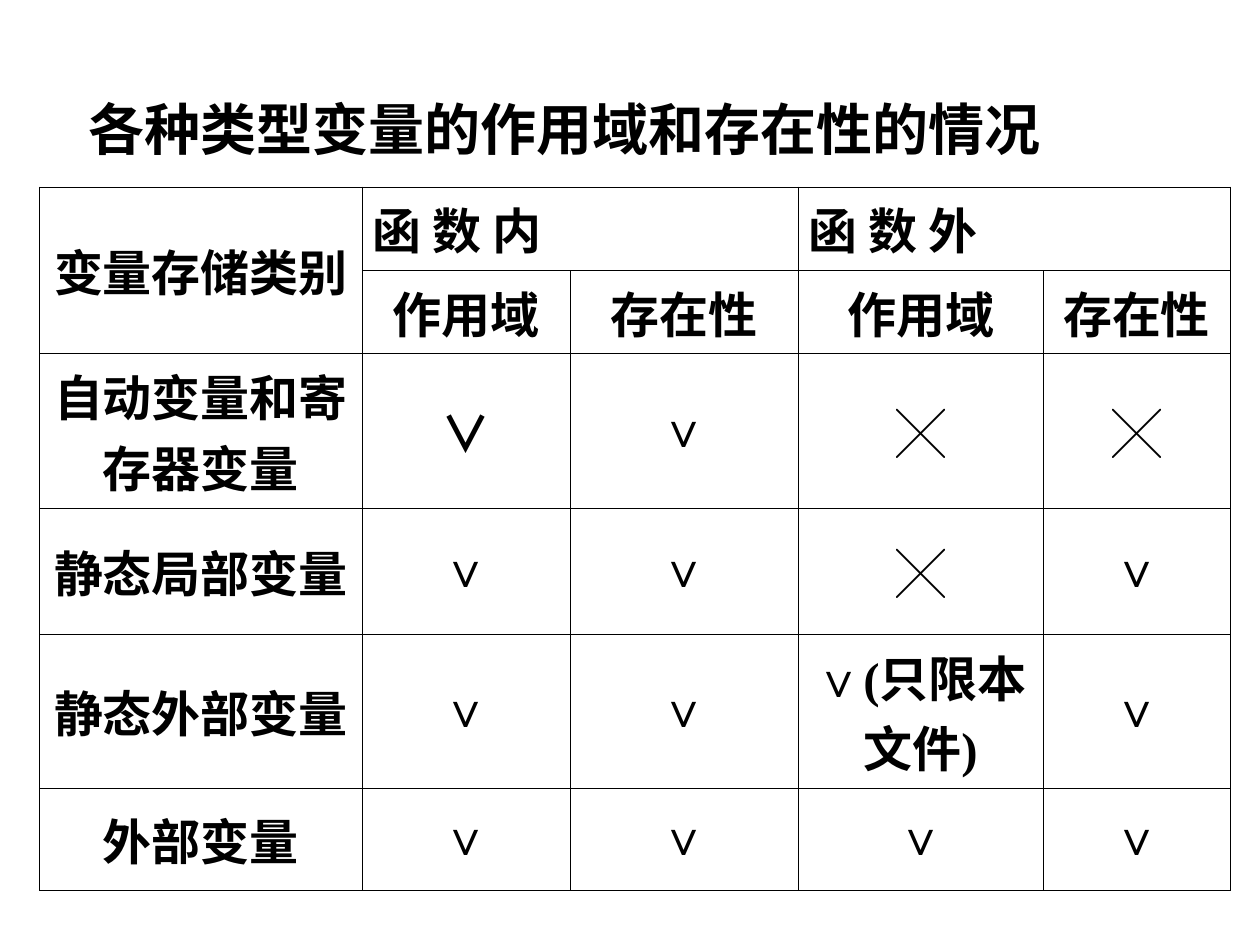
from lxml import etree
from pptx import Presentation
from pptx.dml.color import RGBColor
from pptx.enum.text import MSO_ANCHOR, MSO_AUTO_SIZE, PP_ALIGN
from pptx.oxml.ns import qn
from pptx.util import Pt

LEFT, CENTER, JUSTIFY = PP_ALIGN.LEFT, PP_ALIGN.CENTER, PP_ALIGN.JUSTIFY
TOP, MIDDLE = MSO_ANCHOR.TOP, MSO_ANCHOR.MIDDLE
COLORS = {"ink": "000000", "paper": "FFFFFF"}
HAN, SERIF, SANS = "Noto Sans CJK SC", "Times New Roman", "Arial"
YES, NO = "∨", "╳"

COLUMN_WIDTHS = [184.5, 118.8, 130.3, 140, 106.8]
ROW_HEIGHTS = [36, 36, 79.2, 72, 72, 58.3]
ROWS = [
    ["变量存储类别", "函 数 内", "", "函 数 外", ""],
    ["", "作用域", "存在性", "作用域", "存在性"],
    ["自动变量和寄存器变量", YES, YES, NO, NO],
    ["静态局部变量", YES, YES, NO, YES],
    ["静态外部变量", YES, YES, "∨(只限本文件)", YES],
    ["外部变量", YES, YES, YES, YES],
]
MERGES = [((0, 0), (1, 0)), ((0, 1), (0, 2)), ((0, 3), (0, 4))]
TOP_ANCHORED = {(0, 1), (0, 3), (1, 1), (1, 2), (1, 3), (1, 4), (2, 0)}
LARGE_CHECK = (2, 1)


def add_span(para, text, size, latin):
    span = para.add_run()
    span.text = text
    span.font.size = Pt(size)
    span.font.bold = True
    span.font.color.rgb = RGBColor.from_string(COLORS["ink"])
    span.font.name = latin
    east_asian = etree.SubElement(span._r.get_or_add_rPr(), qn("a:ea"))
    east_asian.set("typeface", HAN)


def set_borders(cell, color, width):
    properties = cell._tc.get_or_add_tcPr()
    for index, side in enumerate(("lnL", "lnR", "lnT", "lnB")):
        line = etree.Element(qn(f"a:{side}"), w=str(Pt(width)))
        fill = etree.SubElement(line, qn("a:solidFill"))
        etree.SubElement(fill, qn("a:srgbClr"), val=color)
        properties.insert(index, line)


def fill_cell(cell, text, position):
    cell.fill.background()
    set_borders(cell, COLORS["ink"], 0.45)
    cell.margin_left = cell.margin_right = Pt(5.76)
    cell.margin_top = cell.margin_bottom = Pt(3.6)
    cell.vertical_anchor = TOP if position in TOP_ANCHORED else MIDDLE
    if not text:
        return
    para = cell.text_frame.paragraphs[0]
    para.alignment = JUSTIFY if position in ((0, 1), (0, 3)) else CENTER
    serif = text.startswith(YES) and position != LARGE_CHECK
    add_span(para, text, 28, SERIF if serif else HAN)


def add_title(page, left, top, width, height):
    box = page.shapes.title
    box.left, box.top, box.width, box.height = map(Pt, (left, top, width, height))
    frame = box.text_frame
    frame.word_wrap = True
    frame.auto_size = MSO_AUTO_SIZE.NONE
    frame.vertical_anchor = MIDDLE
    frame.margin_left = frame.margin_right = 0
    frame.margin_top = frame.margin_bottom = Pt(3.6)
    para = frame.paragraphs[0]
    para.alignment = LEFT
    add_span(para, "各种类型变量的作用域和存在性的情况", 32, SANS)


def add_scope_table(page, left, top):
    box = page.shapes.add_table(
        len(ROWS), len(COLUMN_WIDTHS), Pt(left), Pt(top),
        Pt(sum(COLUMN_WIDTHS)), Pt(sum(ROW_HEIGHTS)))
    table = box.table
    table.first_row = table.horz_banding = False
    for column, width in zip(table.columns, COLUMN_WIDTHS):
        column.width = Pt(width)
    for row, height in zip(table.rows, ROW_HEIGHTS):
        row.height = Pt(height)
    for first, last in MERGES:
        table.cell(*first).merge(table.cell(*last))
    for row_index, texts in enumerate(ROWS):
        for column_index, text in enumerate(texts):
            position = (row_index, column_index)
            fill_cell(table.cell(*position), text, position)


def main():
    deck = Presentation()
    deck.slide_width, deck.slide_height = Pt(720), Pt(540)
    page = deck.slides.add_slide(deck.slide_layouts[5])
    page.background.fill.solid()
    page.background.fill.fore_color.rgb = RGBColor.from_string(COLORS["paper"])
    add_scope_table(page, 22.5, 106.8)
    add_title(page, 50.4, 50.4, 630, 46)
    deck.save("out.pptx")


if __name__ == "__main__":
    main()
